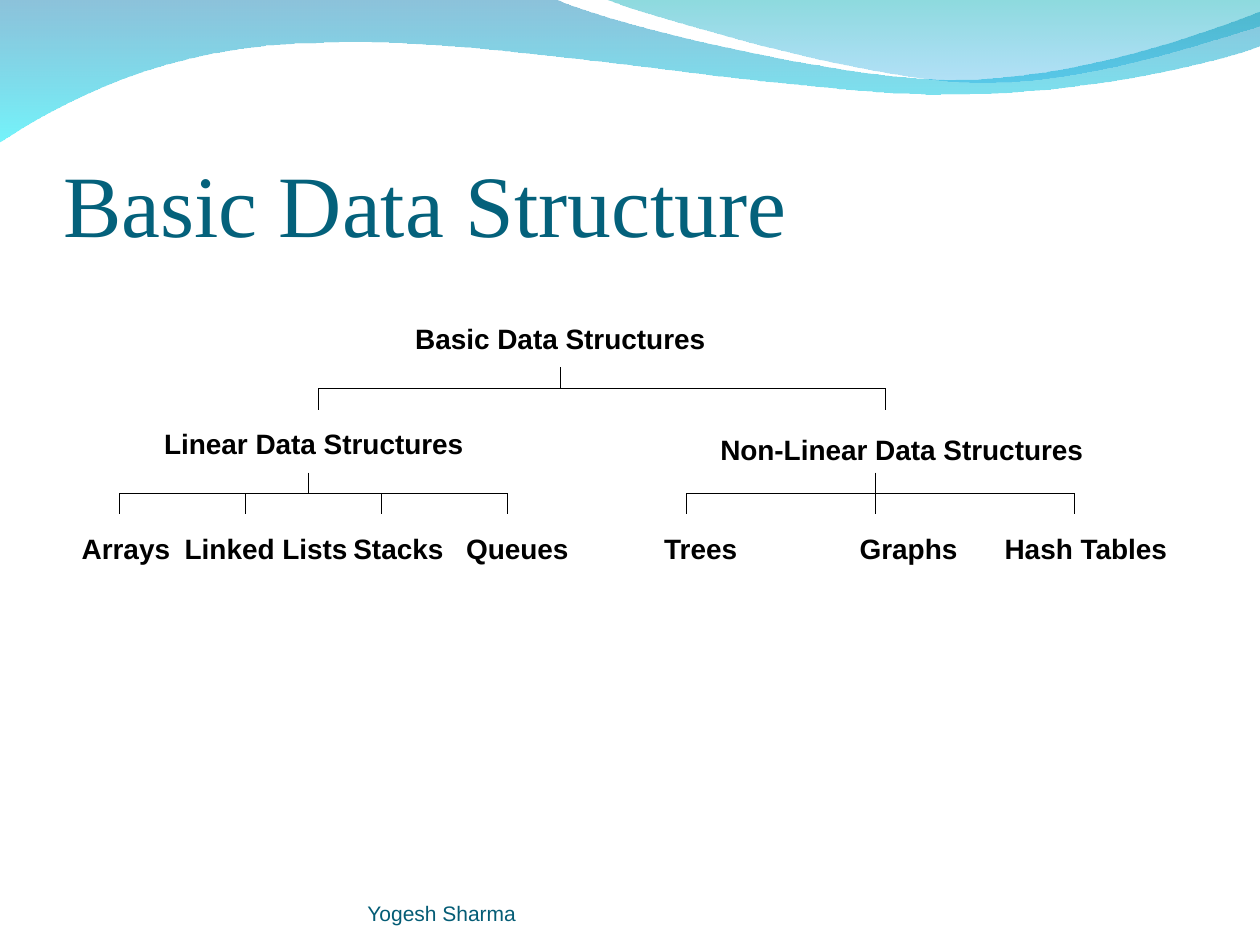
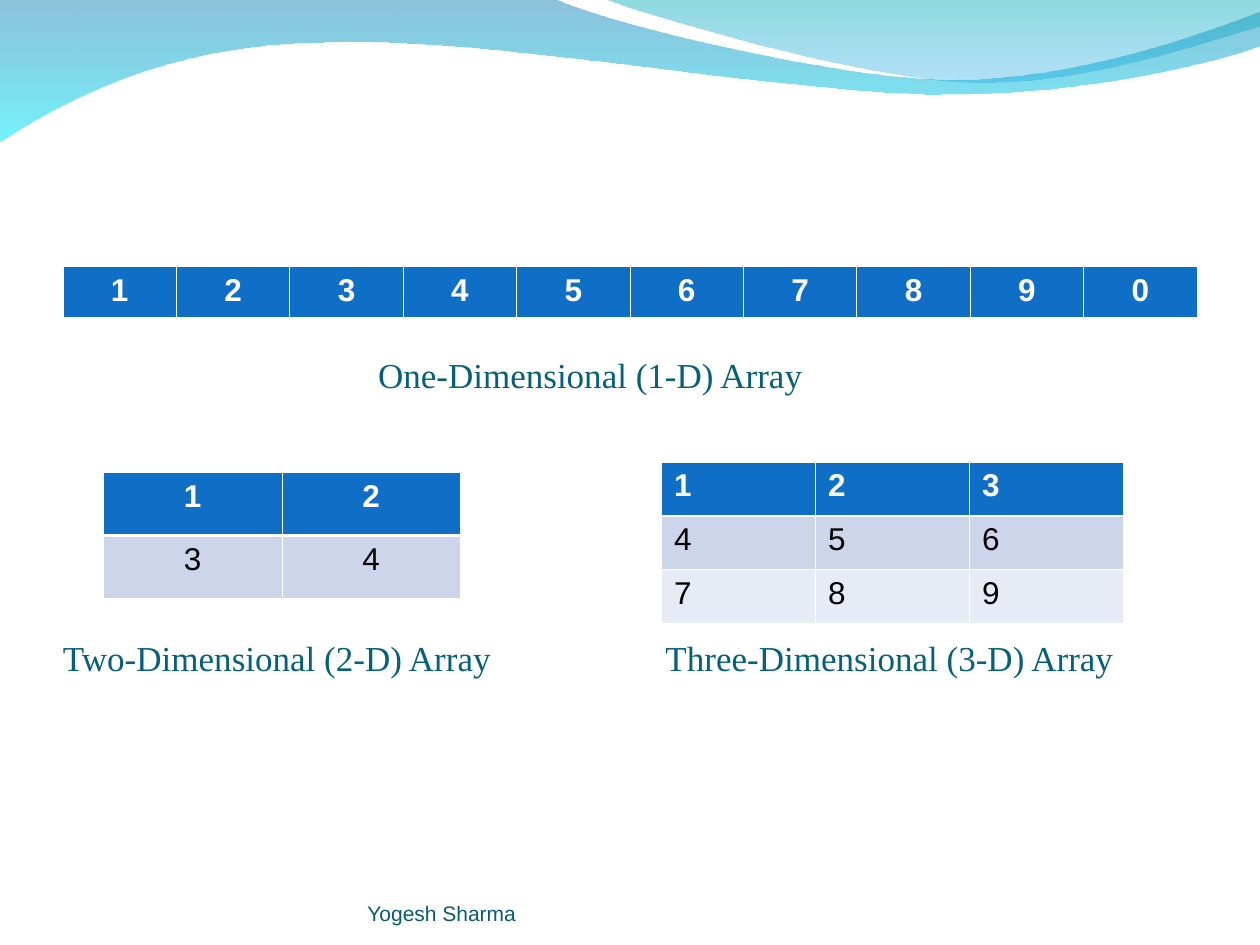
from lxml import etree
from pptx import Presentation
from pptx.dml.color import RGBColor
from pptx.enum.shapes import MSO_CONNECTOR
from pptx.enum.text import MSO_ANCHOR, MSO_AUTO_SIZE, PP_ALIGN
from pptx.oxml.ns import qn
from pptx.util import Pt

LEFT, CENTER, RIGHT = PP_ALIGN.LEFT, PP_ALIGN.CENTER, PP_ALIGN.RIGHT
TOP, BOTTOM = MSO_ANCHOR.TOP, MSO_ANCHOR.BOTTOM
NO_AUTOFIT = MSO_AUTO_SIZE.NONE
STRAIGHT = MSO_CONNECTOR.STRAIGHT

WHITE = RGBColor(0xFF, 0xFF, 0xFF)
BLACK = RGBColor(0x00, 0x00, 0x00)
TEAL = RGBColor(0x04, 0x61, 0x7B)
FOOTER_TEAL = RGBColor(0x04, 0x5C, 0x75)
HEADER_BLUE = RGBColor(0x0F, 0x6F, 0xC6)
BAND_DARK = RGBColor(0xCC, 0xD5, 0xEA)
BAND_LIGHT = RGBColor(0xE7, 0xEB, 0xF5)
WAVE_BLUE = RGBColor(0x00, 0x79, 0xAF)
WAVE_CYAN = RGBColor(0x00, 0xEB, 0xF8)
WAVE_GREEN = RGBColor(0x00, 0xAD, 0xB6)
WAVE_SKY = RGBColor(0x00, 0x9B, 0xE5)

SERIF, SANS = "Times New Roman", "Arial"
TITLE = dict(name=SERIF, size=Pt(50), color=TEAL)
CAPTION = dict(name=SERIF, size=Pt(20), color=TEAL)
NODE = dict(name=SANS, size=Pt(16), bold=True, color=BLACK)
FOOTER = dict(name=SANS, size=Pt(12), color=FOOTER_TEAL)
HEADER_CELL = dict(name=SANS, size=Pt(18), bold=True, color=WHITE)
BODY_CELL = dict(name=SANS, size=Pt(18), bold=False, color=BLACK)

CAPTION_INSETS = (0, 3.6, 0, 0)
NODE_INSETS = (7.2, 3.6, 7.2, 3.6)
THIN, THICK = 0.45, 1.47

LONG_WAVE = [
    [(0, -0.7)],
    [(316.8, -0.7)],
    [(342.7, 12.2), (478.1, 45.4), (545.8, 45.4)],
    [(614.2, 45.4), (689.8, 18.7), (720, 6.5)],
    [(720.7, 25.9)],
    [(707.8, 31.7), (626.4, 54.7), (537.1, 54)],
    [(447.8, 54), (275, 20.2), (185, 24.5)],
    [(92.9, 25.2), (33.1, 59.8), (-0.7, 81.4)],
    [(0, -0.7)],
]
SHORT_WAVE = [
    [(344.9, -0.7)],
    [(366.5, 7.9), (491, 44.6), (553.7, 46.8)],
    [(616.3, 49.7), (691.9, 23), (720, 15.1)],
    [(720, 0)],
    [(344.9, -0.7)],
]
WAVES = [
    (LONG_WAVE, [(WAVE_BLUE, 45), (WAVE_CYAN, 55)]),
    (SHORT_WAVE, [(WAVE_GREEN, 45), (WAVE_SKY, 30)]),
]

TREE_NODES = [
    ("Basic Data Structures", 174.4, 0, 198),
    ("Linear Data Structures", 36.2, 60, 198),
    ("Non-Linear Data Structures", 354.4, 63.4, 234),
]
TREE_LEAVES = [
    ("Arrays", 0.2, 66.3),
    ("Linked Lists", 60, 108),
    ("Stacks", 156.4, 66.3),
    ("Queues", 216.2, 78),
    ("Trees", 324.2, 66.3),
    ("Graphs", 426.4, 90),
    ("Hash Tables", 522.2, 114),
]
TREE_BRACKETS = [
    (282.6, 42, [144.4, 468.4]),
    (138.6, 102, [30.6, 102.6, 180.4, 252.4]),
    (462.6, 102, [354.6, 462.6, 576.4]),
]


def set_font(p, fmt):
    for key, value in fmt.items():
        if key == "color":
            p.font.color.rgb = value
        else:
            setattr(p.font, key, value)


def write(sp, text, fmt, align=LEFT, anchor=TOP, insets=NODE_INSETS):
    tf = sp.text_frame
    margins = zip(("left", "top", "right", "bottom"), insets)
    settings = {f"margin_{side}": Pt(inset) for side, inset in margins}
    settings.update(word_wrap=True, auto_size=NO_AUTOFIT, vertical_anchor=anchor)
    for key, value in settings.items():
        setattr(tf, key, value)
    p = tf.paragraphs[0]
    p.text, p.alignment = text, align
    set_font(p, fmt)


def add_text(s, box, text, fmt, **layout):
    write(s.shapes.add_textbox(*map(Pt, box)), text, fmt, **layout)


def add_caption(s, box, text):
    add_text(s, box, text, CAPTION, anchor=BOTTOM, insets=CAPTION_INSETS)


def set_title(s, box, text, fmt):
    title = s.shapes.title
    for key, value in zip(("left", "top", "width", "height"), box):
        setattr(title, key, Pt(value))
    write(title, text, fmt, anchor=BOTTOM, insets=CAPTION_INSETS)


def add_footer(s):
    add_text(s, (210, 500.4, 264.2, 28.8), "Yogesh Sharma", FOOTER,
             anchor=BOTTOM, insets=(0, 0, 0, 0))


def bend_segments(sp, segments):
    lines = iter(list(sp.element.iter(qn("a:lnTo"))))
    for segment in segments[1:]:
        group = [next(lines) for _ in segment]
        if len(group) == 3:
            curve = etree.Element(qn("a:cubicBezTo"))
            group[0].addprevious(curve)
            for line in group:
                curve.append(line[0])
                line.getparent().remove(line)


def add_wave(s, segments, stops):
    outline = [(Pt(x), Pt(y)) for segment in segments for x, y in segment]
    builder = s.shapes.build_freeform(*outline[0])
    builder.add_line_segments(outline[1:], close=True)
    sp = builder.convert_to_shape()
    bend_segments(sp, segments)
    sp.shadow.inherit = False
    sp.line.fill.background()
    sp.fill.gradient()
    sp.fill.gradient_angle = 270
    for stop, (color, _) in zip(sp.fill.gradient_stops, stops):
        stop.color.rgb = color
    colors = sp.element.spPr.iter(qn("a:srgbClr"))
    for color, (_, opacity) in zip(list(colors), stops):
        etree.SubElement(color, qn("a:alpha"), val=str(opacity * 1000))
    return sp


def move_waves_to_layout(s):
    tree = s.slide_layout.shapes.element
    for i, (segments, stops) in enumerate(WAVES):
        tree.insert(2 + i, add_wave(s, segments, stops).element)


def add_line(s, x1, y1, x2, y2):
    line = s.shapes.add_connector(STRAIGHT, Pt(x1), Pt(y1), Pt(x2), Pt(y2))
    line.line.color.rgb = BLACK
    line.line.width = Pt(0.75)
    etree.SubElement(line.element.spPr, qn("a:effectLst"))


def add_bracket(s, stem, y, drops, arm=12):
    add_line(s, drops[0], y, drops[-1], y)
    add_line(s, stem, y - arm, stem, y)
    for x in drops:
        add_line(s, x, y, x, y + arm)


def add_tree(s, left, top):
    leaves = [(text, x, 120, width) for text, x, width in TREE_LEAVES]
    for text, x, y, width in TREE_NODES + leaves:
        add_text(s, (left + x, top + y, width, 26.6), text, NODE, align=RIGHT)
    for stem, y, drops in TREE_BRACKETS:
        add_bracket(s, left + stem, top + y, [left + x for x in drops])


def set_borders(cell, row):
    widths = dict(lnL=THIN, lnR=THIN,
                  lnT=THICK if row == 1 else THIN,
                  lnB=THICK if row == 0 else THIN)
    tcPr = cell._tc.get_or_add_tcPr()
    for i, (edge, width) in enumerate(widths.items()):
        ln = etree.Element(qn(f"a:{edge}"), w=str(Pt(width)))
        fill = etree.SubElement(ln, qn("a:solidFill"))
        etree.SubElement(fill, qn("a:srgbClr"), val=str(WHITE))
        tcPr.insert(i, ln)


def add_array(s, box, rows, align):
    frame = s.shapes.add_table(len(rows), len(rows[0]), *map(Pt, box))
    table = frame.table
    table.horz_banding = False
    for column in table.columns:
        column.width = Pt(box[2] / len(rows[0]))
    fills = (HEADER_BLUE, BAND_DARK, BAND_LIGHT)
    for r, values in enumerate(rows):
        table.rows[r].height = Pt(box[3] / len(rows))
        for c, value in enumerate(values):
            cell = table.cell(r, c)
            cell.fill.solid()
            cell.fill.fore_color.rgb = fills[r]
            set_borders(cell, r)
            p = cell.text_frame.paragraphs[0]
            p.text, p.alignment = value, align
            set_font(p, BODY_CELL if r else HEADER_CELL)


def build_tree_slide(s):
    set_title(s, (36, 56, 648, 90), "Basic Data Structure", TITLE)
    add_tree(s, 37.8, 180)
    add_footer(s)


def build_arrays_slide(s):
    set_title(s, (216, 197, 324, 28.8), "One-Dimensional (1-D) Array", CAPTION)
    add_array(s, (36, 152.4, 648, 29.2), ["1234567890"], CENTER)
    add_footer(s)
    add_array(s, (59.2, 270, 203.8, 72), ["12", "34"], CENTER)
    add_array(s, (378, 264, 264, 92.2), ["123", "456", "789"], LEFT)
    add_caption(s, (36, 358.2, 324, 29.5), "Two-Dimensional (2-D) Array")
    add_caption(s, (380.3, 358.2, 324, 29.5), "Three-Dimensional (3-D) Array")


def main():
    prs = Presentation()
    prs.slide_width, prs.slide_height = Pt(720), Pt(540)
    title_only = prs.slide_layouts[5]
    tree_slide = prs.slides.add_slide(title_only)
    move_waves_to_layout(tree_slide)
    build_tree_slide(tree_slide)
    build_arrays_slide(prs.slides.add_slide(title_only))
    prs.save("out.pptx")


if __name__ == "__main__":
    main()
